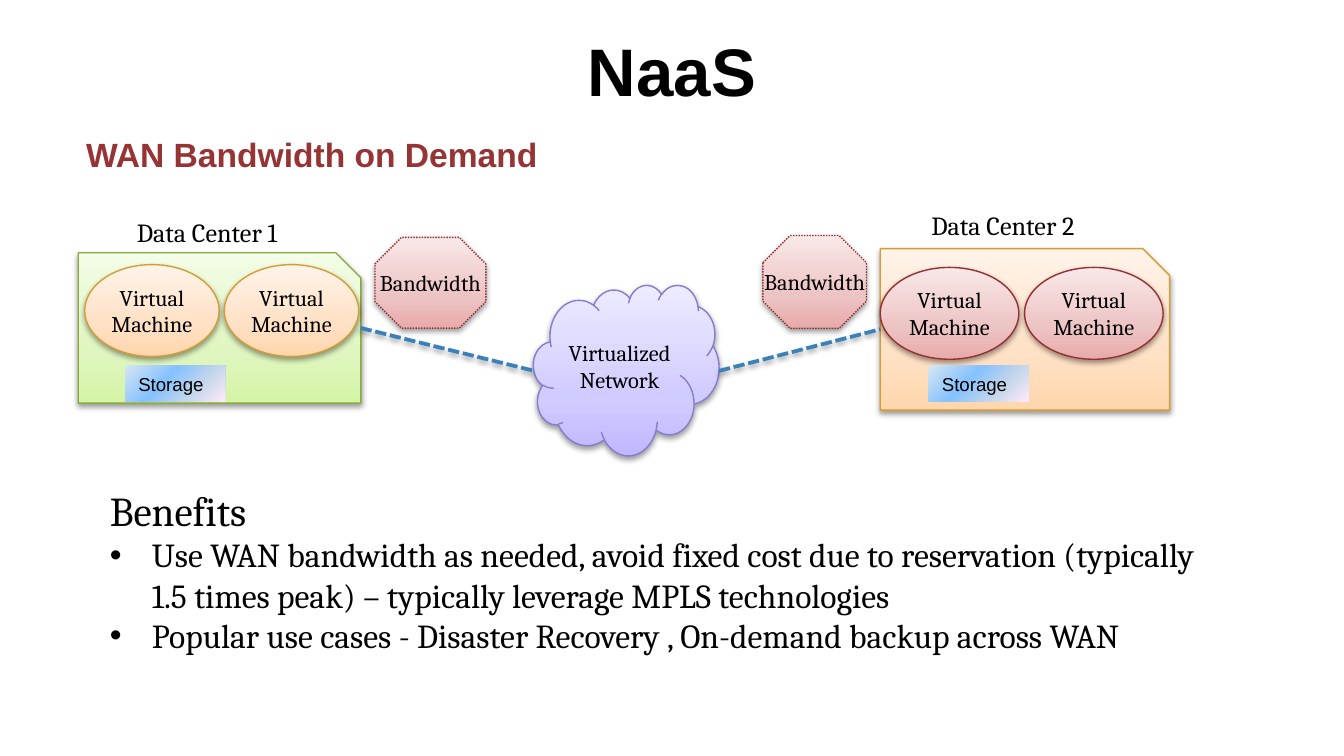
from lxml.etree import SubElement
from pptx import Presentation
from pptx.dml.color import RGBColor
from pptx.enum.dml import MSO_LINE
from pptx.enum.shapes import MSO_CONNECTOR, MSO_SHAPE
from pptx.enum.text import MSO_ANCHOR, MSO_AUTO_SIZE, PP_ALIGN
from pptx.oxml.ns import qn
from pptx.util import Pt

COLORS = {
    "text": "000000", "heading": "963334", "link": "3A81BA", "shadow": "000000",
    "green": "89AA3E", "orange": "D79D34", "red": "952F30", "violet": "867CCF",
}
GRADIENTS = {
    "green": [(0, "D5F4A6"), (35, "E0F6C1"), (100, "F3FDE7")],
    "orange": [(0, "FFD6AD"), (35, "FFE1C5"), (100, "FFF3E9")],
    "red": [(0, "E8AAAA"), (35, "EDC4C4"), (100, "F9E8E8")],
    "violet": [(0, "BFB8FF"), (35, "D1CCFF"), (100, "EDEBFF")],
    "storage": [(0, "D6E6F2"), (40, "85C2FF"), (70, "C4D6EB"), (100, "FFEBFA")],
}


class Slide:
    """Draws styled elements on one slide, with all lengths in points."""

    serif, sans = "Cambria", "Arial"

    def __init__(self, deck):
        self.page = deck.slides.add_slide(deck.slide_layouts[5])
        self.shapes = self.page.shapes

    def add_span(self, paragraph, text, size, font=serif, color="text", bold=False):
        span = paragraph.add_run()
        span.text = text
        span.font.size = Pt(size)
        span.font.name = font
        span.font.bold = bold
        span.font.color.rgb = RGBColor.from_string(COLORS[color])

    def frame(self, shape, inset, anchor, wrap=True):
        frame = shape.text_frame
        frame.auto_size = MSO_AUTO_SIZE.NONE
        frame.word_wrap = wrap
        frame.vertical_anchor = anchor
        frame.margin_left = frame.margin_right = Pt(inset[0])
        frame.margin_top = frame.margin_bottom = Pt(inset[1])
        return frame

    def title(self, text, left, top, width, height):
        box = self.shapes.title
        box.left, box.top, box.width, box.height = map(Pt, (left, top, width, height))
        paragraph = self.frame(box, (7.2, 7.2), MSO_ANCHOR.BOTTOM).paragraphs[0]
        paragraph.alignment = PP_ALIGN.CENTER
        self.add_span(paragraph, text, 36, self.sans, bold=True)

    def text(self, left, top, width, height, inset=(7.2, 3.6)):
        box = self.shapes.add_textbox(*map(Pt, (left, top, width, height)))
        return self.frame(box, inset, MSO_ANCHOR.TOP)

    def indent(self, paragraph, margin, first, bullet=None):
        properties = paragraph._p.get_or_add_pPr()
        properties.set("marL", str(Pt(margin)))
        properties.set("indent", str(Pt(first)))
        if bullet:
            SubElement(properties, qn("a:buFont"), typeface=self.sans)
            SubElement(properties, qn("a:buChar"), char=bullet)

    def shadow(self, effects):
        outer = SubElement(effects, qn("a:outerShdw"), blurRad=str(Pt(3.1)),
                           dist=str(Pt(1.6)), dir="5400000", rotWithShape="0")
        color = SubElement(outer, qn("a:srgbClr"), val=COLORS["shadow"])
        SubElement(color, qn("a:alpha"), val="38000")

    def gradient(self, shape, name, angle):
        shape.fill.gradient()
        shape.fill.gradient_angle = angle
        stops = shape._element.spPr.find(qn("a:gradFill")).find(qn("a:gsLst"))
        for stop in list(stops):
            stops.remove(stop)
        for position, color in GRADIENTS[name]:
            stop = SubElement(stops, qn("a:gs"), pos=str(position * 1000))
            SubElement(stop, qn("a:srgbClr"), val=color)

    def shape(self, kind, bounds, style, text="", dash=None, inset=3.6, wrap=True):
        shape = self.shapes.add_shape(kind, *map(Pt, bounds))
        self.gradient(shape, style, 90)
        shape.line.color.rgb = RGBColor.from_string(COLORS[style])
        shape.line.width = Pt(0.75)
        if dash:
            shape.line.dash_style = dash
        shape.shadow.inherit = False
        self.shadow(shape._element.spPr.find(qn("a:effectLst")))
        if text:
            frame = self.frame(shape, (inset, inset), MSO_ANCHOR.MIDDLE, wrap)
            paragraph = frame.paragraphs[0]
            paragraph.alignment = PP_ALIGN.CENTER
            self.add_span(paragraph, text, 12)

    def storage(self, left, top):
        shape = self.shapes.add_shape(MSO_SHAPE.RECTANGLE, *map(Pt, (left, top, 53.6, 19.4)))
        self.gradient(shape, "storage", 315)
        shape.line.fill.background()
        shape.shadow.inherit = False
        paragraph = self.frame(shape, (7.2, 3.6), MSO_ANCHOR.TOP).paragraphs[0]
        paragraph.alignment = PP_ALIGN.LEFT
        self.add_span(paragraph, "Storage", 10, self.sans)

    def link(self, *ends):
        link = self.shapes.add_connector(MSO_CONNECTOR.STRAIGHT, *map(Pt, ends))
        link.line.color.rgb = RGBColor.from_string(COLORS["link"])
        link.line.width = Pt(2)
        link.line.dash_style = MSO_LINE.SQUARE_DOT
        self.shadow(SubElement(link._element.spPr, qn("a:effectLst")))


def main():
    deck = Presentation()
    deck.slide_width, deck.slide_height = Pt(720), Pt(405)
    slide = Slide(deck)
    slide.title("NaaS", 36, -1.4, 648, 67.5)

    slide.shape(MSO_SHAPE.SNIP_1_RECTANGLE, (41.9, 135.4, 151.4, 80.6), "green")
    slide.shape(MSO_SHAPE.SNIP_1_RECTANGLE, (471.6, 133.2, 155, 86.5), "orange")
    slide.shape(MSO_SHAPE.CLOUD, (285.8, 152.6, 99.4, 91.4), "violet", "Virtualized Network")
    slide.link(193.2, 175.7, 286.2, 198.7)
    slide.link(385.2, 198.7, 471.6, 176.4)
    for bounds in ((408.7, 126.2, 55.5, 49.7), (200.9, 127.2, 59.4, 48.6)):
        slide.shape(MSO_SHAPE.OCTAGON, bounds, "red", "Bandwidth",
                    MSO_LINE.ROUND_DOT, inset=0, wrap=False)
    for left, top, width, step, style in ((471.6, 143.3, 74.2, 77.3, "red"),
                                          (45.4, 141.8, 72, 74.8, "orange")):
        for column in range(2):
            slide.shape(MSO_SHAPE.OVAL, (left + column * step, top, width, 49.2),
                        style, "Virtual Machine")

    heading = slide.text(23.8, 64.8, 660, 36, (7.2, 7.2)).paragraphs[0]
    slide.indent(heading, 27.4, -12.2)
    slide.add_span(heading, "WAN Bandwidth on Demand", 18, slide.sans, "heading", True)
    for number, left, top in ((1, 66.2, 112.3), (2, 491.8, 108.7)):
        label = slide.text(left, top, 113.8, 24.5).paragraphs[0]
        slide.add_span(label, f"Data Center {number}", 14)

    benefits = slide.text(51.8, 256.3, 599, 99.4)
    slide.add_span(benefits.paragraphs[0], "Benefits", 22)
    for text in (
        "Use WAN bandwidth as needed, avoid fixed cost due to reservation (typically "
        "1.5 times peak) – typically leverage MPLS technologies",
        "Popular use cases - Disaster Recovery , On-demand backup across WAN",
    ):
        paragraph = benefits.add_paragraph()
        slide.indent(paragraph, 22.5, -22.5, "•")
        slide.add_span(paragraph, text, 18)
    for left in (497.5, 67):
        slide.storage(left, 196)
    deck.save("out.pptx")


if __name__ == "__main__":
    main()
